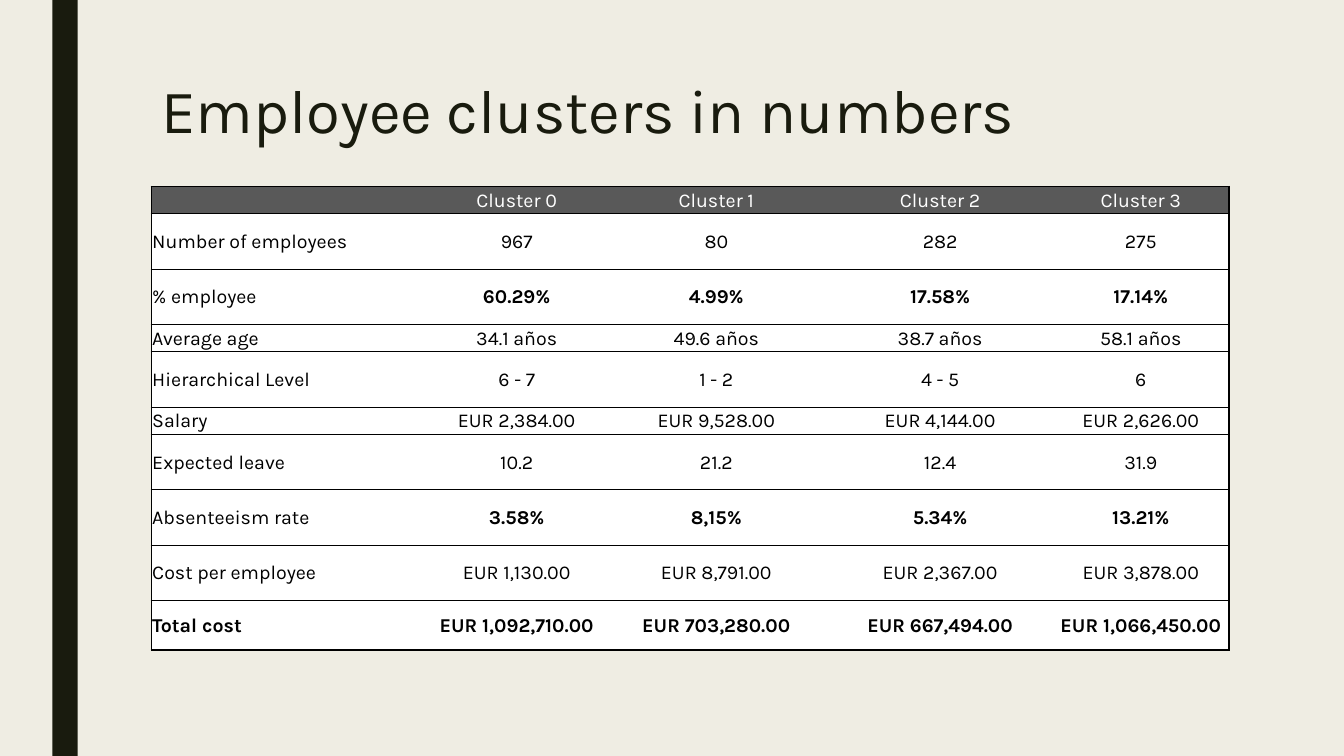
from lxml.etree import SubElement
from pptx import Presentation
from pptx.dml.color import RGBColor
from pptx.enum.shapes import MSO_SHAPE
from pptx.enum.text import MSO_ANCHOR, MSO_AUTO_SIZE, PP_ALIGN
from pptx.oxml.ns import qn
from pptx.util import Inches, Pt

COLORS = {
    "background": "EFEDE3",
    "dark": "191B0E",
    "header": "595959",
    "white": "FFFFFF",
    "black": "000000",
}
FONT = "Karla"
COLUMN_WIDTHS = [2.75, 1.75, 2.21, 2.23, 1.75]
ROW_HEIGHTS = [0.27, 0.55, 0.55, 0.27, 0.55, 0.27, 0.55, 0.55, 0.55, 0.49]
BOLD_VALUES = {"% employee", "Absenteeism rate", "Total cost"}
BOLD_LABELS = {"Total cost"}
CLUSTER_ROWS = [
    ["", "Cluster 0", "Cluster 1", "Cluster 2", "Cluster 3"],
    ["Number of employees", "967", "80", "282", "275"],
    ["% employee", "60.29%", "4.99%", "17.58%", "17.14%"],
    ["Average age", "34.1 años", "49.6 años", "38.7 años", "58.1 años"],
    ["Hierarchical Level", "6 - 7", "1 - 2", "4 - 5", "6"],
    ["Salary", "EUR 2,384.00", "EUR 9,528.00", "EUR 4,144.00", "EUR 2,626.00"],
    ["Expected leave", "10.2", "21.2", "12.4", "31.9"],
    ["Absenteeism rate", "3.58%", "8,15%", "5.34%", "13.21%"],
    ["Cost per employee", "EUR 1,130.00", "EUR 8,791.00", "EUR 2,367.00", "EUR 3,878.00"],
    ["Total cost", "EUR 1,092,710.00", "EUR 703,280.00", "EUR 667,494.00", "EUR 1,066,450.00"],
]


def rgb(name):
    return RGBColor.from_string(COLORS[name])


def set_attributes(target, values):
    for name, value in values.items():
        setattr(target, name, value)


class SlideBuilder:
    def __init__(self, slide, font):
        self.slide = slide
        self.font = font
        fill = slide.background.fill
        fill.solid()
        fill.fore_color.rgb = rgb("background")

    def add_text(self, paragraph, text, size, color, bold=False):
        run = paragraph.add_run()
        run.text = text
        set_attributes(run.font, {"name": self.font, "size": Pt(size), "bold": bold})
        run.font.color.rgb = rgb(color)

    def bar(self, left, top, width, height, color):
        shape = self.slide.shapes.add_shape(
            MSO_SHAPE.RECTANGLE, Inches(left), Inches(top), Inches(width), Inches(height))
        shape.shadow.inherit = False
        shape.fill.solid()
        shape.fill.fore_color.rgb = rgb(color)
        shape.line.fill.background()

    def title(self, text, left, top, width, height):
        shape = self.slide.shapes.title
        set_attributes(shape, {"left": Inches(left), "top": Inches(top),
                               "width": Inches(width), "height": Inches(height)})
        set_attributes(shape.text_frame, {"word_wrap": True, "auto_size": MSO_AUTO_SIZE.NONE,
                                          "vertical_anchor": MSO_ANCHOR.TOP})
        paragraph = shape.text_frame.paragraphs[0]
        set_attributes(paragraph, {"alignment": PP_ALIGN.LEFT, "line_spacing": 0.89})
        self.add_text(paragraph, text, 44, "dark")

    def table(self, rows, left, top, column_widths, row_heights):
        table = self.slide.shapes.add_table(
            len(rows), len(column_widths), Inches(left), Inches(top),
            Inches(sum(column_widths)), Inches(sum(row_heights))).table
        set_attributes(table, {"first_row": False, "horz_banding": False})
        for column, width in zip(table.columns, column_widths):
            column.width = Inches(width)
        for row, height in zip(table.rows, row_heights):
            row.height = Inches(height)
        last_column = len(column_widths) - 1
        for row_index, values in enumerate(rows):
            is_header = row_index == 0
            for column_index, text in enumerate(values):
                is_label = column_index == 0
                cell = table.cell(row_index, column_index)
                self.borders(cell, {"L": is_label, "R": column_index == last_column,
                                    "T": True, "B": True})
                self.cell(cell, text,
                          fill="header" if is_header else "white",
                          color="white" if is_header else "black",
                          alignment=PP_ALIGN.LEFT if is_label else PP_ALIGN.CENTER,
                          bold=values[0] in (BOLD_LABELS if is_label else BOLD_VALUES))

    def cell(self, cell, text, fill, color, alignment, bold):
        margin = Inches(0.01)
        set_attributes(cell, {"margin_left": margin, "margin_right": margin,
                              "margin_top": margin, "margin_bottom": 0,
                              "vertical_anchor": MSO_ANCHOR.MIDDLE})
        cell.fill.solid()
        cell.fill.fore_color.rgb = rgb(fill)
        paragraph = cell.text_frame.paragraphs[0]
        paragraph.alignment = alignment
        paragraph.font.size = Pt(14)
        if text:
            self.add_text(paragraph, text, 14, color, bold)

    def borders(self, cell, sides):
        """Draw the sides marked True and clear the rest; call before filling the cell."""
        properties = cell._tc.get_or_add_tcPr()
        for side, visible in sides.items():
            line = SubElement(properties, qn(f"a:ln{side}"), w=str(Pt(1)))
            if visible:
                fill = SubElement(line, qn("a:solidFill"))
                SubElement(fill, qn("a:srgbClr"), val=COLORS["black"])
            else:
                SubElement(line, qn("a:noFill"))


def main():
    presentation = Presentation()
    set_attributes(presentation, {"slide_width": Inches(13.33), "slide_height": Inches(7.5)})
    title_only = presentation.slide_layouts[5]
    builder = SlideBuilder(presentation.slides.add_slide(title_only), FONT)
    builder.bar(0.52, 0, 0.25, 7.5, "dark")
    builder.title("Employee clusters in numbers", 1.5, 0.75, 10.5, 1.62)
    builder.table(CLUSTER_ROWS, 1.5, 1.85, COLUMN_WIDTHS, ROW_HEIGHTS)
    presentation.save("out.pptx")


if __name__ == "__main__":
    main()
